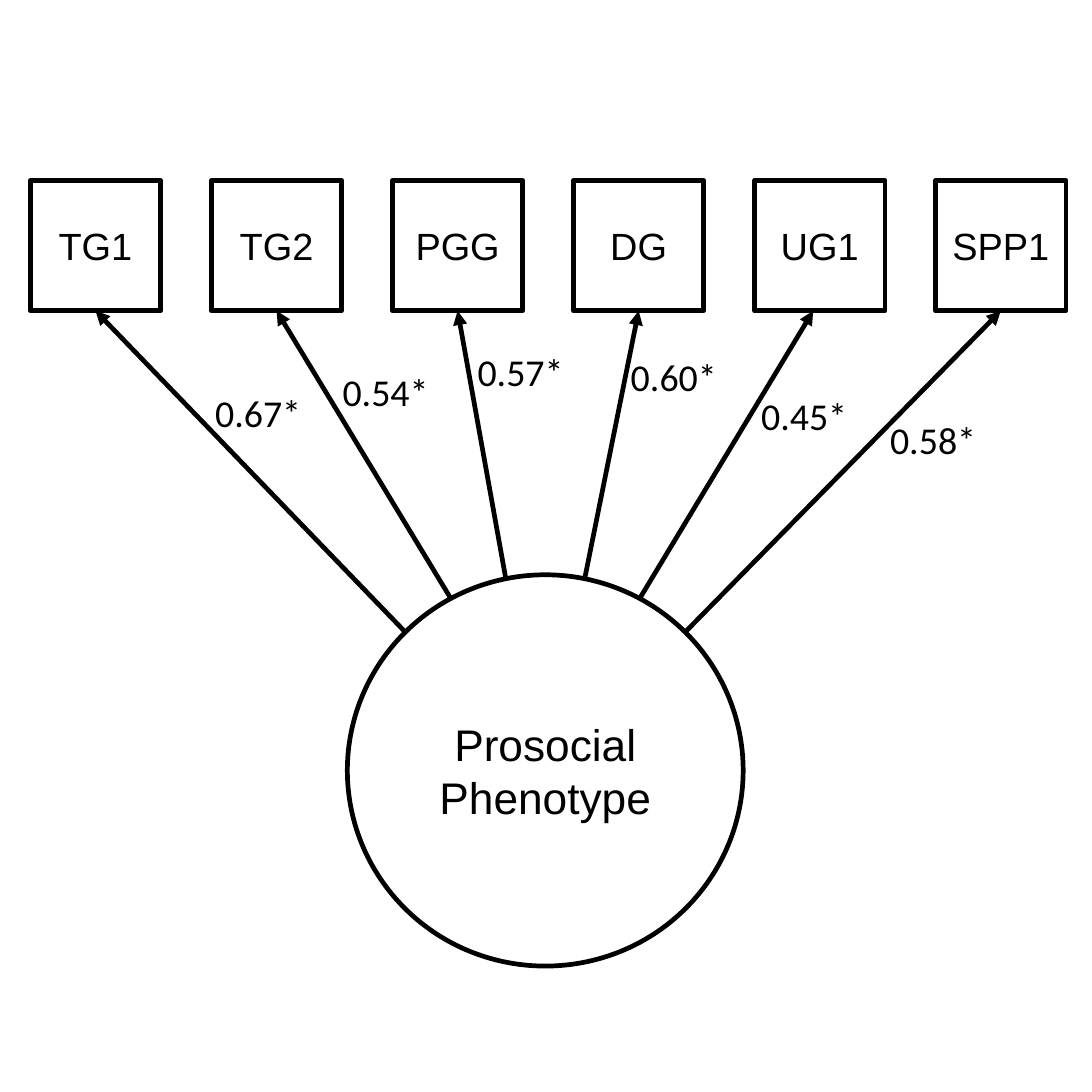
from math import cos, radians, sin

from lxml.etree import SubElement
from pptx import Presentation
from pptx.dml.color import RGBColor
from pptx.enum.shapes import MSO_CONNECTOR, MSO_SHAPE
from pptx.enum.text import MSO_ANCHOR, MSO_AUTO_SIZE, PP_ALIGN
from pptx.oxml.ns import qn
from pptx.util import Inches, Pt

SIDE = Inches(7.2)
COLORS = {"ink": "000000", "paper": "FFFFFF"}

# All lengths below are percent of the slide's side.
LEFT, TOP, PITCH, BOX = 2.78, 16.53, 16.58, 11.94
CIRCLE = (31.81, 52.64, 36.25, 35.83)
LABEL = (10.83, 5.56)

# Box name, loading, label left and top, angle on the circle, shift of the tip
PATHS = [
    ("TG1", "0.67*", 18.33, 35, -45, 0),
    ("TG2", "0.54*", 30, 33.06, -28.5, 0),
    ("PGG", "0.57*", 42.36, 31.25, -11.5, 0),
    ("DG", "0.60*", 56.39, 31.67, 11.5, 0),
    ("UG1", "0.45*", 68.33, 35.28, 28.5, -0.6),
    ("SPP1", "0.58*", 80.14, 37.5, 45, 0),
]


def share(*parts):
    return [round(SIDE * part / 100) for part in parts]


def color(name):
    return RGBColor.from_string(COLORS[name])


def write(frame, text, size, font):
    run = frame.paragraphs[0].add_run()
    run.text = text
    run.font.size = Pt(size)
    run.font.name = font
    run.font.color.rgb = color("ink")


def stroke(line):
    line.color.rgb = color("ink")
    line.width = Pt(2.25)


def add_node(slide, kind, place, text, size, wrap):
    node = slide.shapes.add_shape(kind, *share(*place))
    node.shadow.inherit = False
    node.fill.solid()
    node.fill.fore_color.rgb = color("paper")
    stroke(node.line)
    frame = node.text_frame
    frame.word_wrap = wrap
    frame.vertical_anchor = MSO_ANCHOR.MIDDLE
    frame.paragraphs[0].alignment = PP_ALIGN.CENTER
    write(frame, text, size, "Arial")


def add_arrow(slide, start, end):
    arrow = slide.shapes.add_connector(
        MSO_CONNECTOR.STRAIGHT, *share(*start, *end))
    stroke(arrow.line)
    SubElement(arrow.line._get_or_add_ln(), qn("a:tailEnd"), type="triangle")
    SubElement(arrow._element.spPr, qn("a:effectLst"))


def add_label(slide, left, top, text):
    frame = slide.shapes.add_textbox(*share(left, top, *LABEL)).text_frame
    frame.word_wrap = False
    frame.auto_size = MSO_AUTO_SIZE.SHAPE_TO_FIT_TEXT
    write(frame, text, 18, "Calibri")


def rim(angle):
    """Point on the circle, in degrees clockwise from its top."""
    left, top, width, height = CIRCLE
    turn = radians(angle)
    return (left + width / 2 * (1 + sin(turn)),
            top + height / 2 * (1 - cos(turn)))


def main():
    deck = Presentation()
    deck.slide_width = deck.slide_height = SIDE
    slide = deck.slides.add_slide(deck.slide_layouts[6])
    add_node(slide, MSO_SHAPE.OVAL, CIRCLE, "Prosocial Phenotype", 21, True)
    for col, (name, value, x, y, angle, shift) in enumerate(PATHS):
        left = LEFT + col * PITCH
        add_node(slide, MSO_SHAPE.RECTANGLE, (left, TOP, BOX, BOX),
                 name, 18, False)
        add_arrow(slide, rim(angle), (left + BOX / 2 + shift, TOP + BOX))
        add_label(slide, x, y, value)
    deck.save("out.pptx")


if __name__ == "__main__":
    main()
